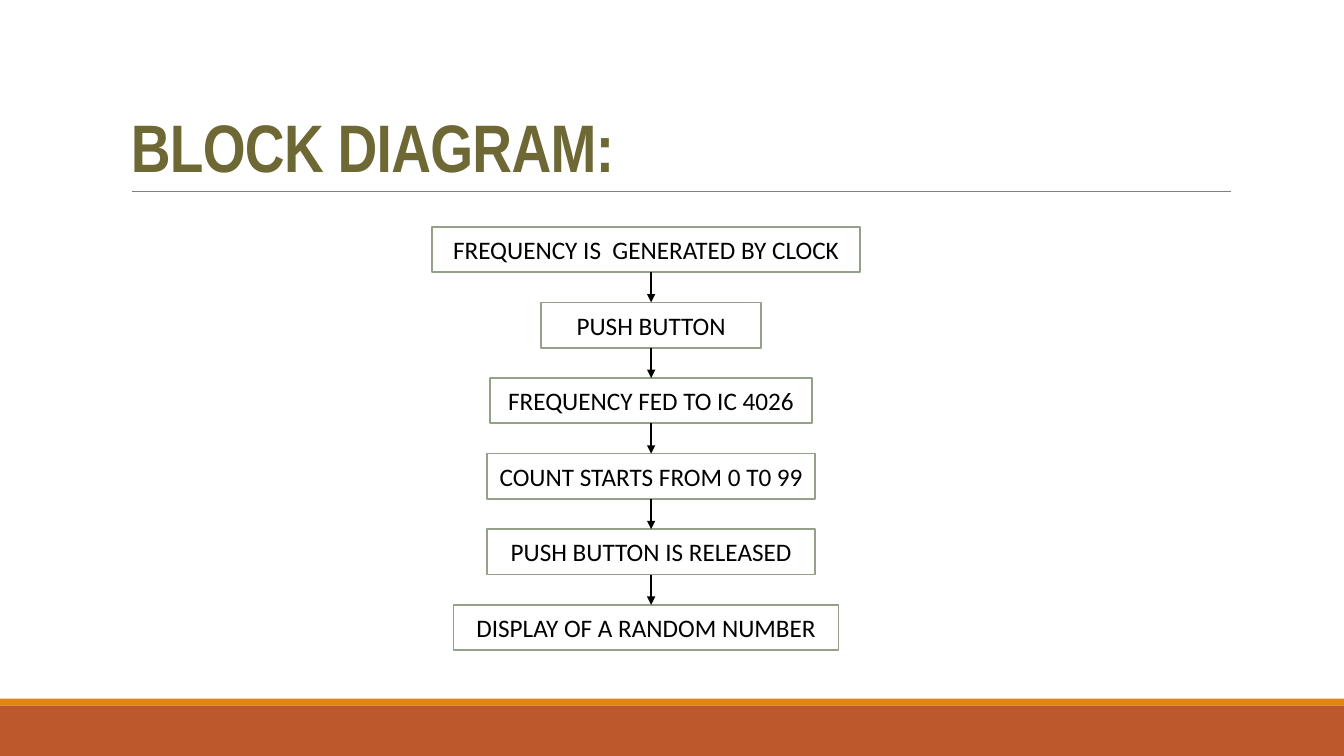
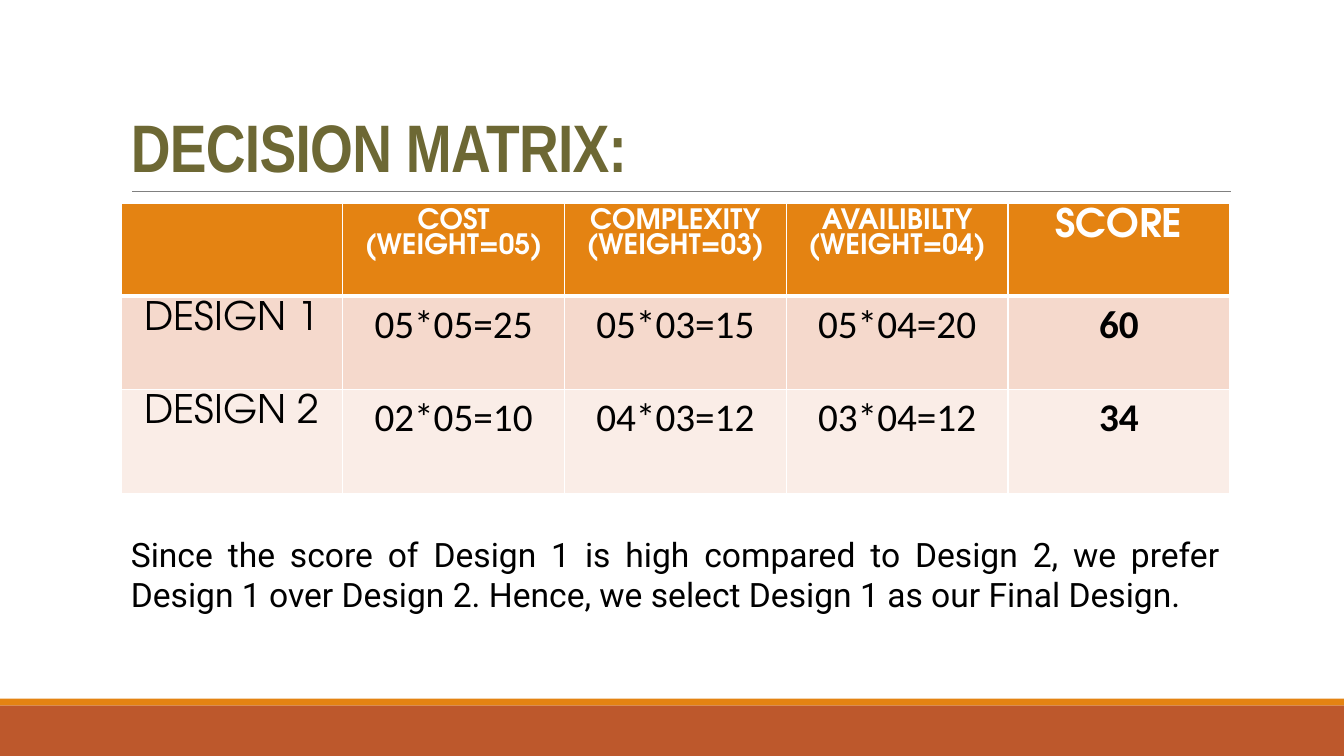
"""Build a block diagram slide and a decision matrix slide."""
from dataclasses import dataclass

from lxml import etree
from pptx import Presentation
from pptx.dml.color import RGBColor
from pptx.enum.shapes import MSO_CONNECTOR, MSO_SHAPE, MSO_SHAPE_TYPE
from pptx.enum.text import MSO_ANCHOR, PP_ALIGN
from pptx.oxml.ns import qn
from pptx.util import Emu, Inches, Pt

STRAIGHT = MSO_CONNECTOR.STRAIGHT
RECTANGLE = MSO_SHAPE.RECTANGLE
LINE = MSO_SHAPE_TYPE.LINE
AUTO_SHAPE = MSO_SHAPE_TYPE.AUTO_SHAPE
TOP, BOTTOM = 0, 2
LEFT, CENTER, JUSTIFY = PP_ALIGN.LEFT, PP_ALIGN.CENTER, PP_ALIGN.JUSTIFY


@dataclass(frozen=True)
class Theme:
    """Colours, fonts and type sizes of the deck."""
    title: str = "6D6834"
    band: str = "BD582C"
    accent: str = "E48312"
    rule: str = "808080"
    box_line: str = "94A088"
    black: str = "000000"
    white: str = "FFFFFF"
    body_rows: tuple = ("F5D9CC", "FAEDE7")
    title_font: str = "Arial Narrow"
    body_font: str = "Calibri"
    table_font: str = "TeX Gyre Adventor"
    note_font: str = "Roboto"
    title_size: int = 48
    score_size: int = 28
    note_size: int = 24
    header_size: int = 20
    box_size: int = 18


theme = Theme()
presentation = Presentation()
presentation.slide_width = Inches(40 / 3)
presentation.slide_height = Inches(7.5)
COLUMN = presentation.slide_width / 40
ROW = presentation.slide_height / 10
MARGIN, CONTENT_WIDTH = 3.6, 33


def place(left, top, width, height):
    """Turn grid columns and rows into slide lengths."""
    return [Emu(round(length)) for length in
            (left * COLUMN, top * ROW, width * COLUMN, height * ROW)]


def write(text_frame, text, font, size, color, bold=False, align=CENTER):
    """Set the text of a frame and format all its runs."""
    text_frame.word_wrap = True
    text_frame.text = text
    for paragraph in text_frame.paragraphs:
        paragraph.alignment = align
        for run in paragraph.runs:
            run.font.name = font
            run.font.size = Pt(size)
            run.font.bold = bold
            run.font.color.rgb = RGBColor.from_string(color)


slides = []
for title in ("BLOCK DIAGRAM:", "DECISION MATRIX:"):
    slide = presentation.slides.add_slide(presentation.slide_layouts[6])
    slides.append(slide)
    for top, height, color in ((9.33, 0.67, theme.band), (9.24, 0.09, theme.accent)):
        band = slide.shapes.add_shape(RECTANGLE, *place(0, top, 40, height))
        band.fill.solid()
        band.fill.fore_color.rgb = RGBColor.from_string(color)
        band.line.fill.background()
    rule = slide.shapes.add_connector(STRAIGHT, *place(3.93, 2.53, 36.63, 2.53))
    rule.line.color.rgb = RGBColor.from_string(theme.rule)
    rule.line.width = Pt(0.5)
    title_box = slide.shapes.add_textbox(*place(MARGIN, 0.41, CONTENT_WIDTH, 2.12))
    title_frame = title_box.text_frame
    write(title_frame, title, theme.title_font, theme.title_size, theme.title, True, LEFT)
    title_frame.vertical_anchor = MSO_ANCHOR.BOTTOM
    title_frame.paragraphs[0].line_spacing = 0.85
    title_frame.paragraphs[0].runs[0].font._element.set("spc", "-50")

diagram, matrix = slides

SPINE, WIDE_CENTER = 19.38, 19.23
FIRST_STEP, STEP_HEIGHT = 3, 0.6
steps = (
    ("FREQUENCY IS  GENERATED BY CLOCK", WIDE_CENTER, 12.75),
    ("PUSH BUTTON", SPINE, 6.54),
    ("FREQUENCY FED TO IC 4026", SPINE, 9.6),
    ("COUNT STARTS FROM 0 T0 99", SPINE, 9.75),
    ("PUSH BUTTON IS RELEASED", SPINE, 9.75),
    ("DISPLAY OF A RANDOM NUMBER", WIDE_CENTER, 11.46),
)
boxes = []
for index, (label, center, width) in enumerate(steps):
    box = diagram.shapes.add_shape(
        RECTANGLE, *place(center - width / 2, FIRST_STEP + index, width, STEP_HEIGHT))
    box.fill.solid()
    box.fill.fore_color.rgb = RGBColor.from_string(theme.white)
    box.line.color.rgb = RGBColor.from_string(theme.box_line)
    box.line.width = Pt(1.25)
    write(box.text_frame, label, theme.body_font, theme.box_size, theme.black)
    box.text_frame.vertical_anchor = MSO_ANCHOR.MIDDLE
    boxes.append(box)

for index in range(len(steps) - 1):
    top = FIRST_STEP + index
    arrow = diagram.shapes.add_connector(
        STRAIGHT, *place(SPINE, top + STEP_HEIGHT, SPINE, top + 1))
    if steps[index][1] == SPINE:
        arrow.begin_connect(boxes[index], BOTTOM)
    if steps[index + 1][1] == SPINE:
        arrow.end_connect(boxes[index + 1], TOP)
    arrow.line.color.rgb = RGBColor.from_string(theme.black)
    arrow.line.width = Pt(1)
    etree.SubElement(arrow.line._get_or_add_ln(), qn("a:tailEnd"), type="triangle")

scores = (
    ("", "COST\n(WEIGHT=05)", "COMPLEXITY\n(WEIGHT=03)", "AVAILIBILTY\n(WEIGHT=04)", "SCORE"),
    ("DESIGN 1", "05*05=25", "05*03=15", "05*04=20", "60"),
    ("DESIGN 2", "02*05=10", "04*03=12", "03*04=12", "34"),
)
row_heights = (1.23, 1.23, 1.38)
row_fills = (theme.accent, *theme.body_rows)
last = len(scores[0]) - 1
table = matrix.shapes.add_table(
    len(scores), len(scores[0]),
    *place(MARGIN, 2.69, CONTENT_WIDTH, sum(row_heights))).table
for row, height in zip(table.rows, row_heights):
    row.height = Emu(round(height * ROW))
for row_index, values in enumerate(scores):
    header = row_index == 0
    for column_index, value in enumerate(values):
        cell = table.cell(row_index, column_index)
        heavy_side = ("B", "T", "")[row_index]
        for side in "LRTB":
            border = etree.SubElement(
                cell._tc.get_or_add_tcPr(), qn(f"a:ln{side}"),
                w=str(Pt(3 if side == heavy_side else 1)))
            paint = etree.SubElement(border, qn("a:solidFill"))
            etree.SubElement(paint, qn("a:srgbClr"), val=theme.white)
        cell.fill.solid()
        cell.fill.fore_color.rgb = RGBColor.from_string(row_fills[row_index])
        write(
            cell.text_frame, value,
            theme.table_font if header or column_index == 0 else theme.body_font,
            theme.header_size if header and column_index < last else theme.score_size,
            theme.white if header else theme.black,
            header or column_index == last)

note = matrix.shapes.add_textbox(*place(MARGIN, 6.99, CONTENT_WIDTH, 1.21))
write(
    note.text_frame,
    "Since the score of Design 1 is high compared to Design 2, we prefer "
    "Design 1 over Design 2. Hence, we select Design 1 as our Final Design.",
    theme.note_font, theme.note_size, theme.black, align=JUSTIFY)

for slide in slides:
    for shape in slide.shapes:
        if shape.shape_type == LINE:
            etree.SubElement(shape._element.spPr, qn("a:effectLst"))
        elif shape.shape_type == AUTO_SHAPE:
            shape.shadow.inherit = False

presentation.save("out.pptx")
